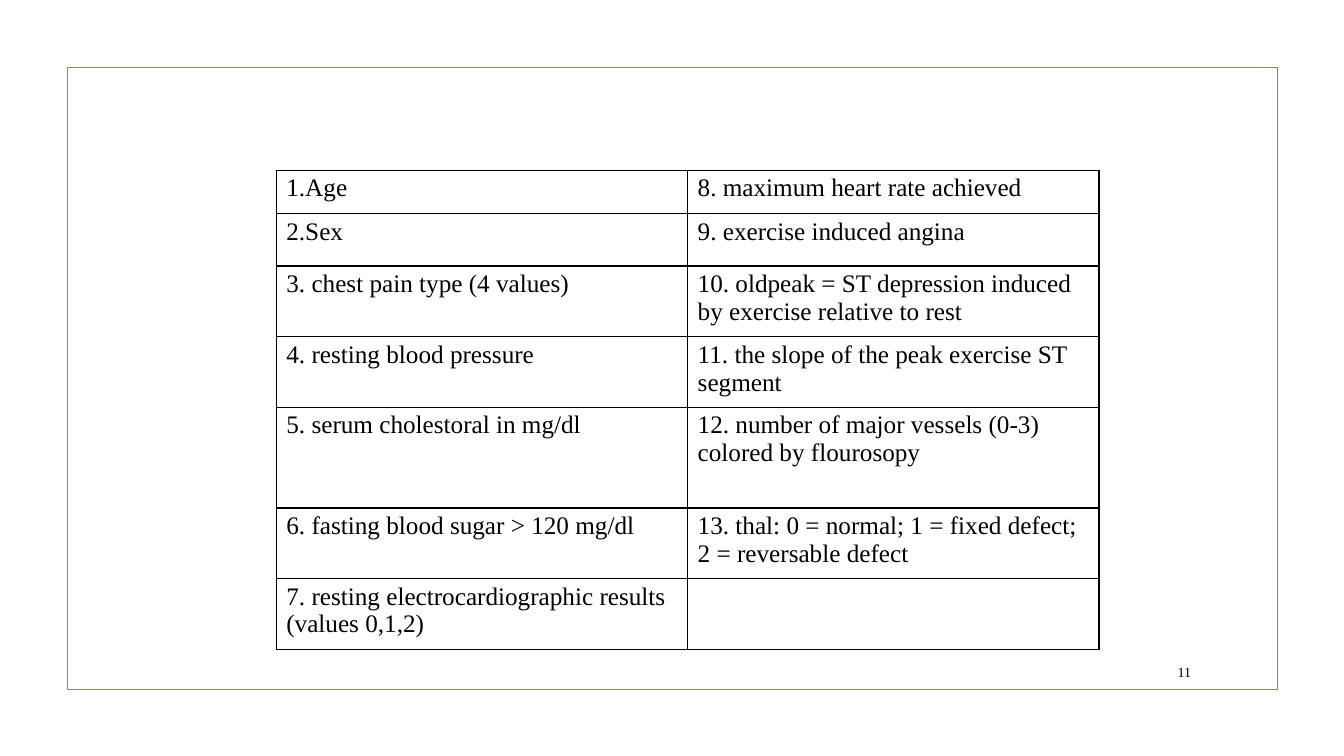
from lxml import etree
from pptx import Presentation
from pptx.dml.color import RGBColor
from pptx.enum import shapes, text
from pptx.oxml.ns import qn
from pptx.util import Inches, Pt

# Content
ATTRIBUTES = [
    ("1.Age", "8. maximum heart rate achieved"),
    ("2.Sex", "9. exercise induced angina"),
    ("3. chest pain type (4 values)",
     "10. oldpeak = ST depression induced by exercise relative to rest"),
    ("4. resting blood pressure",
     "11. the slope of the peak exercise ST segment"),
    ("5. serum cholestoral in mg/dl",
     "12. number of major vessels (0-3) colored by flourosopy"),
    ("6. fasting blood sugar > 120 mg/dl",
     "13. thal: 0 = normal; 1 = fixed defect; 2 = reversable defect"),
    ("7. resting electrocardiographic results (values 0,1,2)", ""),
]
PAGE_NUMBER = "11"

# Format
COLORS = {"frame": "83992A", "ink": "000000"}
FONT = "Times New Roman"
COLUMN_WIDTH = 4.08
ROW_HEIGHTS = [0.43, 0.52, 0.7, 0.7, 1, 0.7, 0.7]
CELL_FORMAT = {"margin_left": Inches(0.1), "margin_right": Inches(0.1),
               "margin_top": Inches(0.04), "margin_bottom": 0}
NUMBER_FORMAT = {"margin_left": Inches(0.04), "margin_right": 0,
                 "margin_top": 0, "margin_bottom": 0, "word_wrap": True,
                 "auto_size": text.MSO_AUTO_SIZE.SHAPE_TO_FIT_TEXT}


def color(name):
    return RGBColor.from_string(COLORS[name])


def apply(target, settings):
    for key, value in settings.items():
        setattr(target, key, value)


def write(paragraph, words, size):
    paragraph.alignment = text.PP_ALIGN.LEFT
    apply(paragraph.font, {"name": FONT, "size": Pt(size)})
    paragraph.font.color.rgb = color("ink")
    if words:
        run = paragraph.add_run()
        run.text = words
        apply(run.font, {"name": FONT, "size": Pt(size)})
        run.font.color.rgb = color("ink")


def draw_borders(cell):
    properties = cell._tc.get_or_add_tcPr()
    for index, side in enumerate(("lnL", "lnR", "lnT", "lnB")):
        line = etree.Element(qn(f"a:{side}"), w=str(Pt(1)))
        fill = etree.SubElement(line, qn("a:solidFill"))
        etree.SubElement(fill, qn("a:srgbClr"), val=COLORS["ink"])
        properties.insert(index, line)


deck = Presentation()
deck.slide_width, deck.slide_height = Inches(13.33), Inches(7.5)
slide = deck.slides.add_slide(deck.slide_layouts[6])

# Frame
frame = slide.shapes.add_shape(shapes.MSO_SHAPE.RECTANGLE, Inches(0.67),
                               Inches(0.67), Inches(12), Inches(6.17))
frame.shadow.inherit = False
frame.fill.background()
frame.line.color.rgb = color("frame")
frame.line.width = Pt(1.25)

# Attribute table
attributes = slide.shapes.add_table(
    len(ATTRIBUTES), 2, Inches(2.74), Inches(1.69),
    Inches(2 * COLUMN_WIDTH), Inches(sum(ROW_HEIGHTS))).table
apply(attributes, {"first_row": False, "horz_banding": False})
for column in attributes.columns:
    column.width = Inches(COLUMN_WIDTH)
for row, height, entries in zip(attributes.rows, ROW_HEIGHTS, ATTRIBUTES):
    row.height = Inches(height)
    for cell, entry in zip(row.cells, entries):
        apply(cell, CELL_FORMAT)
        cell.fill.background()
        draw_borders(cell)
        write(cell.text_frame.paragraphs[0], entry, 18)

# Page number
number = slide.shapes.add_textbox(Inches(11.64), Inches(6.59),
                                  Inches(0.23), Inches(0.18)).text_frame
apply(number, NUMBER_FORMAT)
number.paragraphs[0].line_spacing = Pt(11.6)
write(number.paragraphs[0], PAGE_NUMBER, 10)

deck.save("out.pptx")
